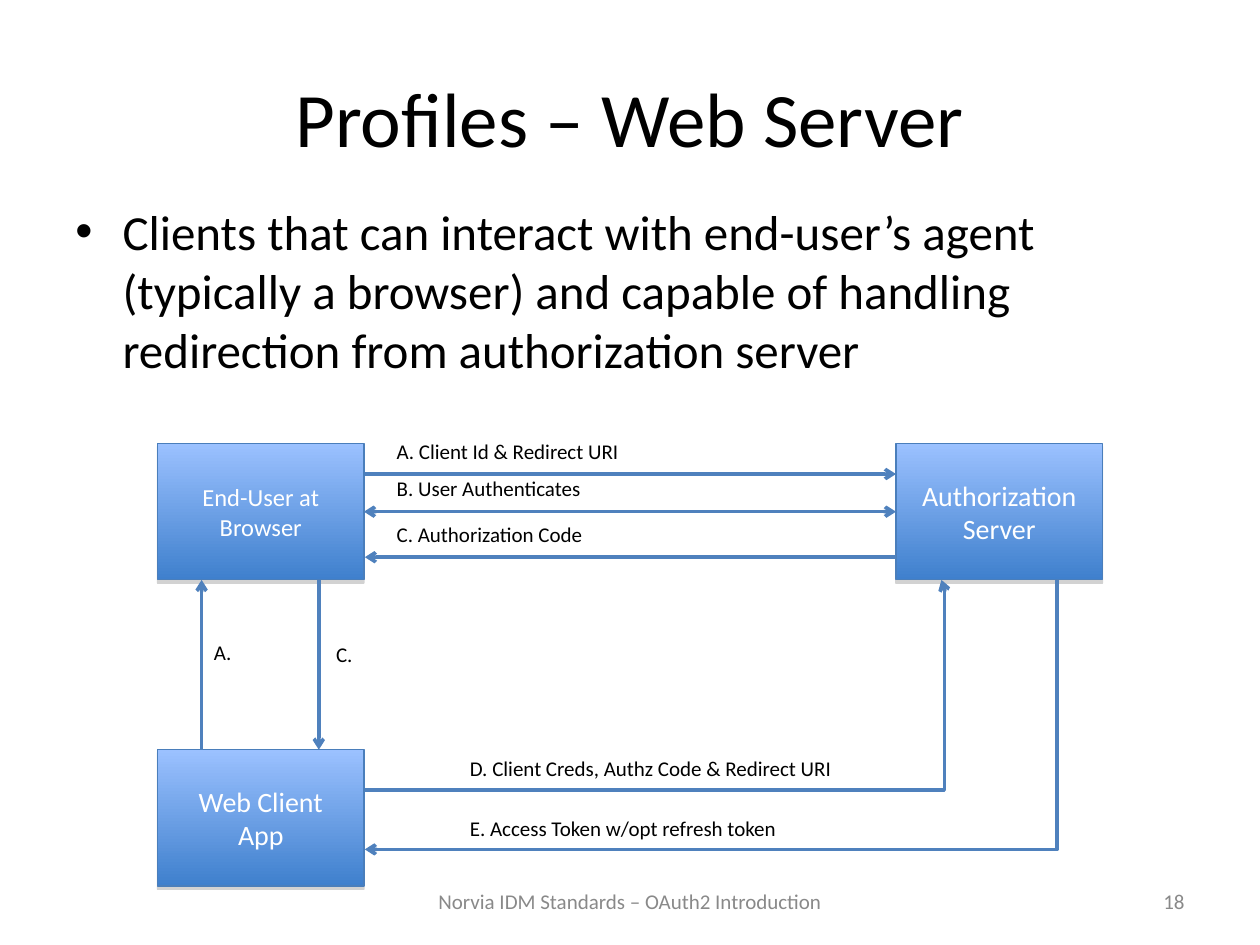
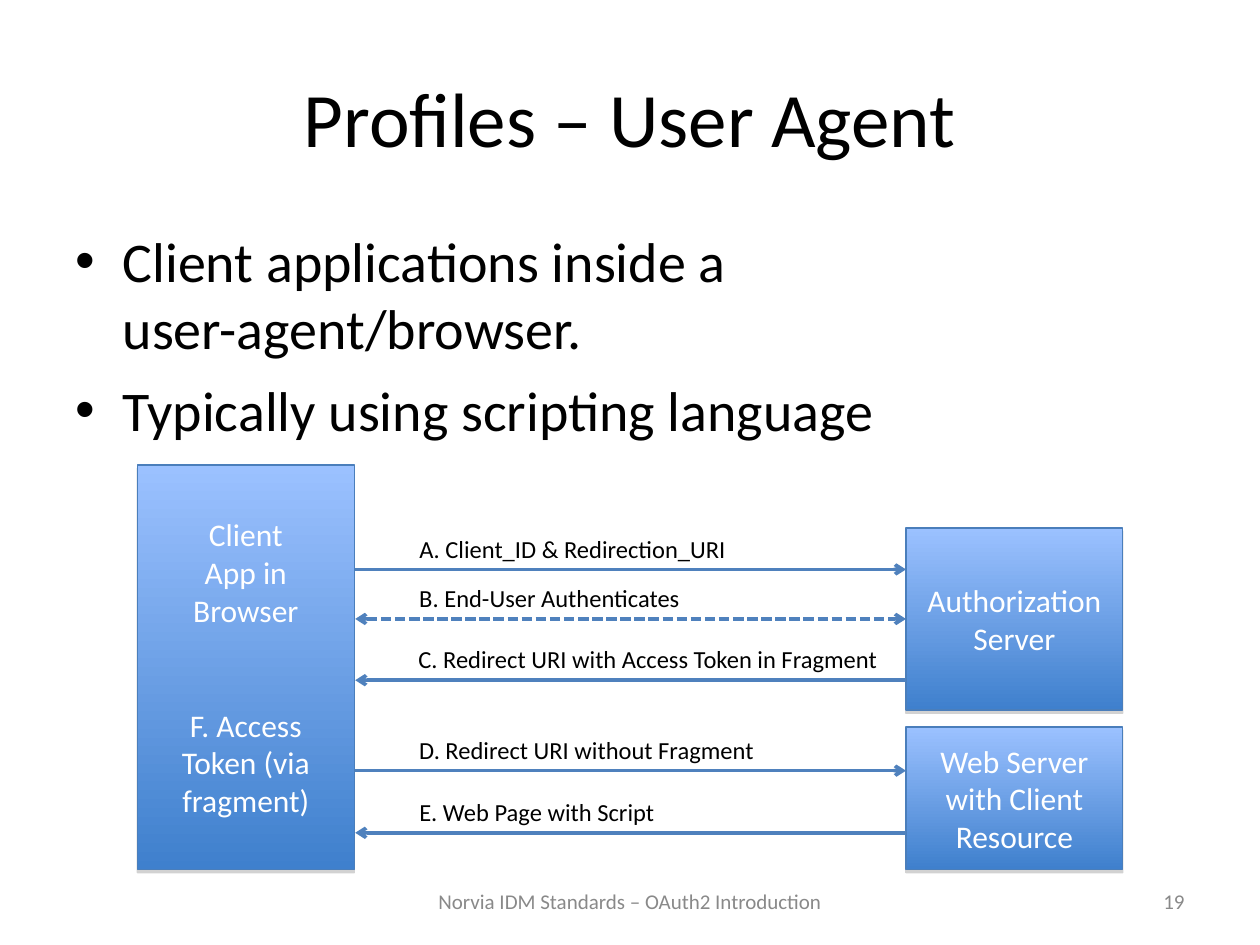
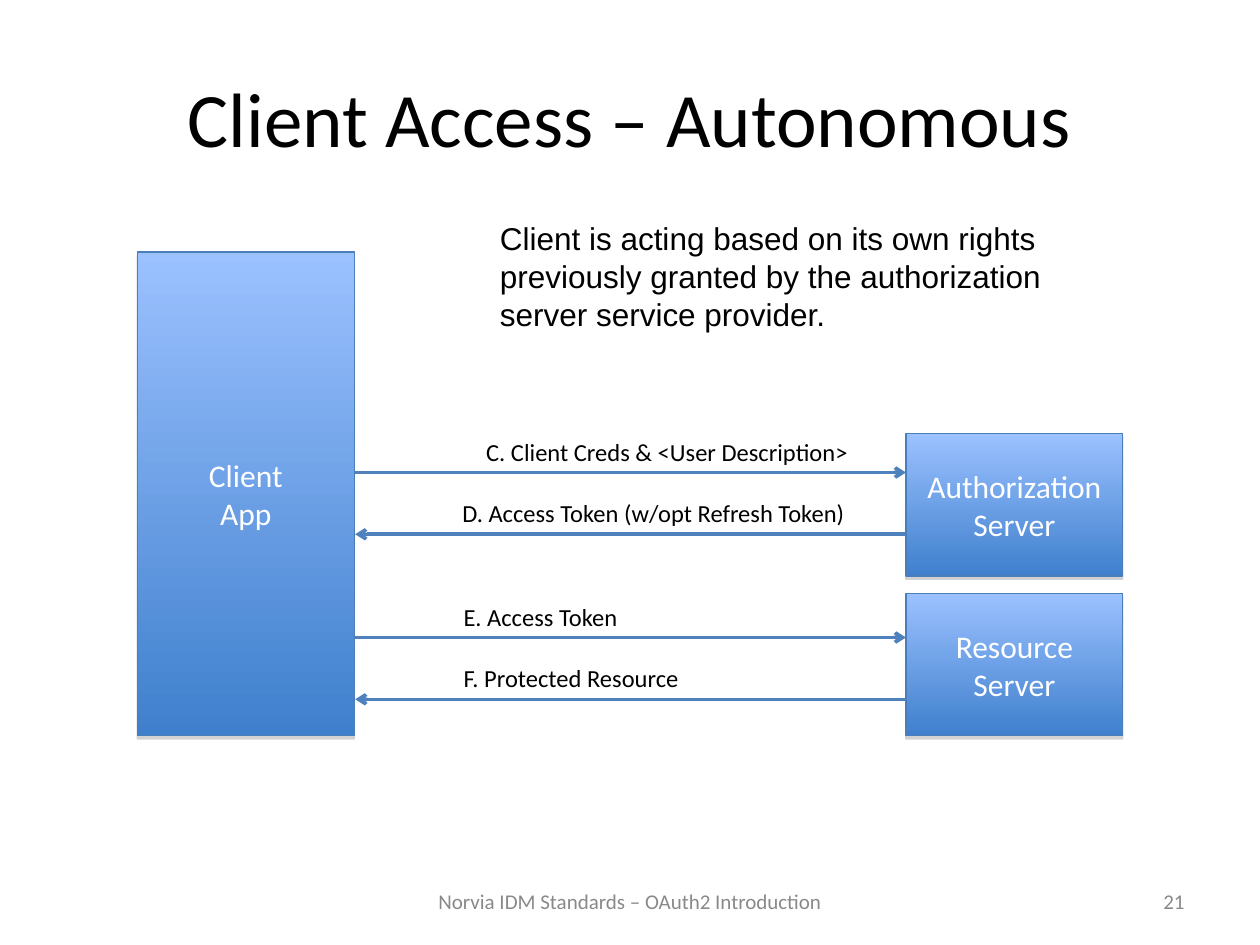
import lxml.etree
import pptx
import pptx.dml.color
import pptx.enum.dml
import pptx.enum.shapes
import pptx.enum.text
import pptx.oxml.ns
import pptx.util

Pt = pptx.util.Pt
qn = pptx.oxml.ns.qn
Align = pptx.enum.text.PP_ALIGN
Anchor = pptx.enum.text.MSO_ANCHOR
Connector = pptx.enum.shapes.MSO_CONNECTOR

BLACK, WHITE, GREY = "000000", "FFFFFF", "898989"
BOX_TOP, BOX_BOTTOM, BOX_EDGE = "9BC1FF", "3F80CD", "4A7EBB"
ARROW, SHADOW = "4F81BD", "808080"
FOOTER = "Norvia IDM Standards – OAuth2 Introduction"
LABEL_RISE = 24  # from an arrow up to the top of its label
TOP, LEFT, BOTTOM, RIGHT = range(4)


def rgb(value):
    return pptx.dml.color.RGBColor.from_string(value)


def child(parent, tag, **attributes):
    return lxml.etree.SubElement(parent, qn(tag), **attributes)


def write(shape, text, *, size, color=BLACK, font="Calibri", align=Align.LEFT,
          anchor=Anchor.TOP, wrap=True, bullet=False, gaps=()):
    """Fill a shape, one paragraph per line; gaps maps a line to its space before."""
    frame = shape.text_frame
    frame.word_wrap = wrap
    frame.vertical_anchor = anchor
    gaps = dict(gaps)
    for number, line in enumerate(text.split("\n")):
        paragraph = frame.paragraphs[0] if number == 0 else frame.add_paragraph()
        run = paragraph.add_run()
        run.text = line
        paragraph.alignment = align
        if number in gaps:
            paragraph.space_before = Pt(gaps[number])
        if bullet:
            properties = paragraph._p.get_or_add_pPr()
            properties.set("marL", str(Pt(27)))
            properties.set("indent", str(-Pt(27)))
            child(properties, "a:buFont", typeface="Arial")
            child(properties, "a:buChar", char="•")
        run.font.name = font
        run.font.size = Pt(size)
        run.font.color.rgb = rgb(color)


def add_text(slide, text, left, top, width, height, **style):
    area = slide.shapes.add_textbox(Pt(left), Pt(top), Pt(width), Pt(height))
    write(area, text, **style)


def add_box(slide, text, left, top, width, height, size=18, gaps=()):
    box = slide.shapes.add_shape(pptx.enum.shapes.MSO_SHAPE.RECTANGLE,
                                 Pt(left), Pt(top), Pt(width), Pt(height))
    box.fill.gradient()
    box.fill.gradient_angle = 270
    for stop, color in zip(box.fill.gradient_stops, (BOX_TOP, BOX_BOTTOM)):
        stop.color.rgb = rgb(color)
    box.line.color.rgb = rgb(BOX_EDGE)
    box.line.width = Pt(0.75)
    box.shadow.inherit = False
    effects = box.element.spPr.find(qn("a:effectLst"))
    shadow = child(effects, "a:outerShdw", blurRad="0", dist=str(Pt(1.8)),
                   dir="5400000", rotWithShape="0")
    child(child(shadow, "a:srgbClr", val=SHADOW), "a:alpha", val="35000")
    write(box, text, size=size, color=WHITE, align=Align.CENTER,
          anchor=Anchor.MIDDLE, gaps=gaps)
    return box


def add_arrow(slide, start, end, heads, bend=None, dashed=False, begin_at=None, end_at=None):
    """heads holds "<" for a head at the start and ">" for one at the end."""
    kind = Connector.STRAIGHT if bend is None else Connector.ELBOW
    arrow = slide.shapes.add_connector(kind, *(Pt(n) for n in (*start, *end)))
    if begin_at:
        arrow.begin_connect(*begin_at)
    if end_at:
        arrow.end_connect(*end_at)
    arrow.line.color.rgb = rgb(ARROW)
    arrow.line.width = Pt(2)
    if dashed:
        arrow.line.dash_style = pptx.enum.dml.MSO_LINE.SQUARE_DOT
    properties = arrow.element.spPr
    for mark, tag in (("<", "a:headEnd"), (">", "a:tailEnd")):
        if mark in heads:
            child(properties.find(qn("a:ln")), tag, type="arrow")
    child(properties, "a:effectLst")
    if bend is not None:
        adjustments = properties.find(qn("a:prstGeom")).find(qn("a:avLst"))
        child(adjustments, "a:gd", name="adj1", fmla=f"val {bend}")


def add_frame(presentation, title, number):
    """Start a slide with its title, footer and page number."""
    slide = presentation.slides.add_slide(presentation.slide_layouts[6])
    add_text(slide, title, 36, 21.6, 648, 90, size=44, align=Align.CENTER,
             anchor=Anchor.MIDDLE)
    footer_style = dict(size=12, color=GREY, anchor=Anchor.MIDDLE)
    add_text(slide, FOOTER, 204, 500.4, 312, 28.8, align=Align.CENTER, **footer_style)
    add_text(slide, str(number), 516, 500.4, 168, 28.8, align=Align.RIGHT, **footer_style)
    return slide


def add_web_server_flow(slide, left, top):
    width, height, server_x, client_y = 118, 78, 422, 175
    user = add_box(slide, "End-User at Browser", left, top, width, height, size=14)
    server = add_box(slide, "Authorization Server", left + server_x, top, width, height, size=16)
    add_box(slide, "Web Client\nApp", left, top + client_y, width, height, size=16)

    near, far = left + width + 0.5, left + server_x
    for text, y, heads, label_width in (
            ("A. Client Id & Redirect URI", 17.5, ">", 188),
            ("B. User Authenticates", height / 2, "<>", 132),
            ("C. Authorization Code", 65, "<", 133)):
        joined = y == height / 2
        add_arrow(slide, (near, top + y), (far, top + y), heads,
                  begin_at=(user, RIGHT) if joined else None,
                  end_at=(server, LEFT) if joined else None)
        add_text(slide, text, left + 129.6, top + y - LABEL_RISE, label_width, 21.6, size=12)

    for text, x, heads, label_x, label_y in (("A.", 25.2, ">", 25.2, 108.7),
                                             ("C.", 92.2, "<", 95, 109.5)):
        add_arrow(slide, (left + x, top + client_y), (left + x, top + height), heads)
        add_text(slide, text, left + label_x, top + label_y, 24.5, 21.6, size=12)

    for text, y, end_x, heads, bend, label_width in (
            ("D. Client Creds, Authz Code & Redirect URI", 198, 448, ">", 100500, 246),
            ("E. Access Token w/opt refresh token", 232, 514, "<", 100000, 210)):
        add_arrow(slide, (near, top + y), (left + end_x, top + height), heads, bend=bend)
        add_text(slide, text, left + 171.4, top + y - LABEL_RISE + 1, label_width, 21.6, size=12)


def add_message_flow(slide, left, top, client, height, servers, messages, gaps=()):
    """Draw a tall client, servers stacked on its right, and the messages between."""
    width, server_x = 124, 439.2
    add_box(slide, client, left, top, width, height, gaps=gaps)
    boxes = [(add_box(slide, name, left + server_x, top + y, width, server_height),
              y + server_height / 2) for name, y, server_height in servers]
    for text, y, heads, label_x, label_width in messages:
        joined = next(((box, LEFT) for box, middle in boxes if middle == y), None)
        add_arrow(slide, (left + width + 0.5, top + y), (left + server_x, top + y), heads,
                  dashed=heads == "<>", end_at=joined)
        add_text(slide, text, left + label_x, top + y - LABEL_RISE, label_width, 24.5,
                 size=14, wrap=False)


def add_web_server_slide(presentation):
    slide = add_frame(presentation, "Profiles – Web Server", 18)
    add_text(slide, "Clients that can interact with end-user’s agent (typically a browser) "
             "and capable of handling redirection from authorization server",
             36, 111.6, 648, 356.4, size=28, bullet=True)
    add_web_server_flow(slide, 90, 253.4)


def add_user_agent_slide(presentation):
    slide = add_frame(presentation, "Profiles – User Agent", 19)
    add_text(slide, "Client applications inside a user-agent/browser.\n"
             "Typically using scripting language",
             36, 126, 648, 356.4, size=32, bullet=True, gaps={1: 8})
    add_message_flow(
        slide, 78.5, 265.7,
        "Client\nApp in\nBrowser\nF. Access\nToken (via fragment)", 231.2,
        [("Authorization Server", 36, 104),
         ("Web Server with Client Resource", 149.7, 81.5)],
        [("A. Client_ID & Redirection_URI", 59.7, ">", 154, 190),
         ("B. End-User Authenticates", 88, "<>", 154, 163.5),
         ("C. Redirect URI with Access Token in Fragment", 123, "<", 153.5, 279.4),
         ("D. Redirect URI without Fragment", 174.7, ">", 154, 206.6),
         ("E. Web Page with Script", 210.2, "<", 154, 149.8)],
        gaps={3: 44})


def add_autonomous_slide(presentation):
    slide = add_frame(presentation, "Client Access – Autonomous", 21)
    add_message_flow(
        slide, 78.5, 144, "Client\nApp", 276.5,
        [("Authorization Server", 103.7, 81.5),
         ("Resource Server", 195, 81.5)],
        [("C. Client Creds & <User Description>", 126, ">", 192.2, 221.8),
         ("D. Access Token (w/opt Refresh Token)", 161.3, "<", 178.6, 237.6),
         ("E. Access Token", 220.3, ">", 179.3, 103.7),
         ("F. Protected Resource", 255.6, "<", 179.3, 139.7)])
    add_text(slide, "Client is acting based on its own rights previously granted by the "
             "authorization server service provider.",
             278.6, 121.7, 362.9, 72, size=18, font="Arial")


def main():
    presentation = pptx.Presentation()
    presentation.slide_width, presentation.slide_height = Pt(720), Pt(540)
    add_web_server_slide(presentation)
    add_user_agent_slide(presentation)
    add_autonomous_slide(presentation)
    presentation.save("out.pptx")


if __name__ == "__main__":
    main()
